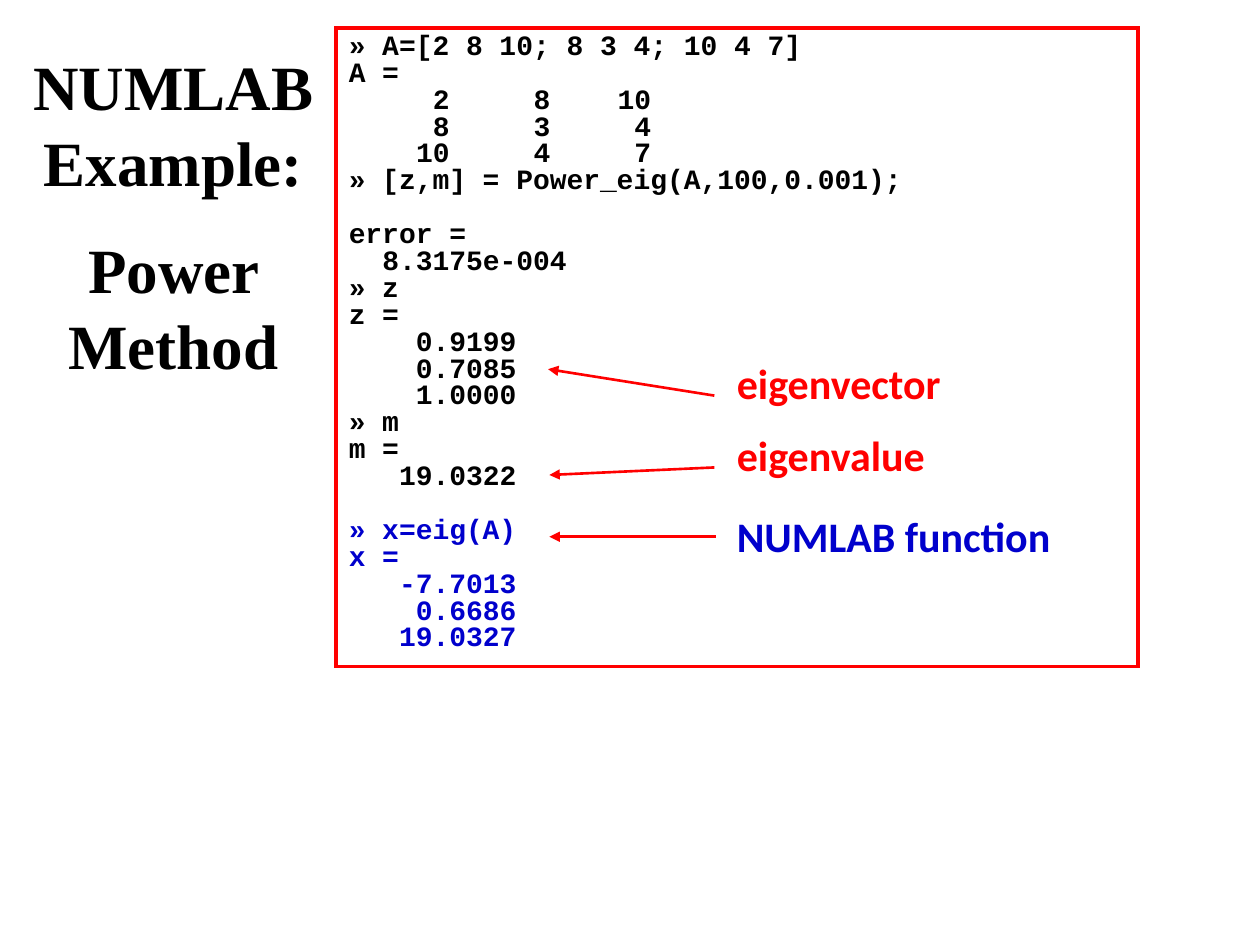
from lxml import etree
from pptx import Presentation
from pptx.dml.color import RGBColor
from pptx.enum.shapes import MSO_CONNECTOR, MSO_SHAPE
from pptx.enum.text import MSO_ANCHOR, PP_ALIGN
from pptx.oxml.ns import qn
from pptx.util import Inches, Pt

RECTANGLE = MSO_SHAPE.RECTANGLE
STRAIGHT = MSO_CONNECTOR.STRAIGHT
TOP = MSO_ANCHOR.TOP
LEFT, CENTER = PP_ALIGN.LEFT, PP_ALIGN.CENTER

BLACK = RGBColor(0x00, 0x00, 0x00)
WHITE = RGBColor(0xFF, 0xFF, 0xFF)
RED = RGBColor(0xFF, 0x00, 0x00)
BLUE = RGBColor(0x00, 0x00, 0xCC)

CODE_FONT = {"name": "Courier New", "size": Pt(16), "bold": True}
TITLE_FONT = {"name": "Times New Roman", "size": Pt(36), "bold": True}
LABEL_FONT = {"name": "Calibri", "size": Pt(24), "bold": True}

CHARACTER = 0.6 * 16 / 72
MATRIX_COLUMNS = [6, 12, 18]
BLANK_LINE = Pt(15.4)

CONSOLE = [
    ("» A=[2 8 10; 8 3 4; 10 4 7]", 0, BLACK),
    ("A =", 0, BLACK),
    ("\t2\t8\t10", 0, BLACK),
    ("\t8\t3\t4", 0, BLACK),
    ("\t10\t4\t7", 0, BLACK),
    ("» [z,m] = Power_eig(A,100,0.001);", 0, BLACK),
    ("error =", 0, BLACK),
    ("8.3175e-004", 2, BLACK),
    ("» z", 0, BLACK),
    ("z =", 0, BLACK),
    ("0.9199", 4, BLACK),
    ("0.7085", 4, BLACK),
    ("1.0000", 4, BLACK),
    ("» m", 0, BLACK),
    ("m =", 0, BLACK),
    ("19.0322", 3, BLACK),
    ("» x=eig(A)", 0, BLUE),
    ("x =", 0, BLUE),
    ("-7.7013", 3, BLUE),
    ("0.6686", 4, BLUE),
    ("19.0327", 3, BLUE),
]
AFTER_BLANK_LINE = ("error =", "» x=eig(A)")

LABELS = [("eigenvector", RED, 1.0), ("eigenvalue", RED, 1.0), ("NUMLAB function", BLUE, 1.2)]
ARROWS = [
    ((5.67, 3.14), (4.35, 2.93)),
    ((5.67, 3.71), (4.36, 3.77)),
    ((5.68, 4.26), (4.36, 4.26)),
]


class SlideBuilder:
    def __init__(self, slide, accent):
        self.slide = slide
        self.accent = accent

    def paragraph(self, frame, text, font, color, layout):
        paragraph = frame.paragraphs[0]
        if paragraph.runs:
            paragraph = frame.add_paragraph()
        for name, value in layout.items():
            setattr(paragraph, name, value)
        run = paragraph.add_run()
        run.text = text
        for name, value in font.items():
            setattr(run.font, name, value)
        run.font.color.rgb = color
        return paragraph

    def indent(self, paragraph, characters):
        properties = paragraph._p.get_or_add_pPr()
        properties.set("marL", str(Inches(characters * CHARACTER)))
        properties.set("indent", "0")

    def right_tabs(self, paragraph, columns):
        tabs = etree.SubElement(paragraph._p.get_or_add_pPr(), qn("a:tabLst"))
        for column in columns:
            position = str(Inches(column * CHARACTER))
            etree.SubElement(tabs, qn("a:tab"), pos=position, algn="r")

    def text_box(self, left, top, width, height):
        shape = self.slide.shapes.add_textbox(
            Inches(left), Inches(top), Inches(width), Inches(height))
        shape.text_frame.word_wrap = True
        return shape.text_frame

    def panel(self, left, top, width, height):
        shape = self.slide.shapes.add_shape(
            RECTANGLE, Inches(left), Inches(top), Inches(width), Inches(height))
        shape.shadow.inherit = False
        shape.fill.solid()
        shape.fill.fore_color.rgb = WHITE
        shape.line.color.rgb = self.accent
        shape.line.width = Pt(2.25)
        etree.SubElement(shape.line._get_or_add_ln(), qn("a:miter"), lim="800000")
        shape.text_frame.word_wrap = True
        shape.text_frame.vertical_anchor = TOP
        return shape.text_frame

    def arrow(self, start, end):
        connector = self.slide.shapes.add_connector(
            STRAIGHT, *(Inches(value) for value in start + end))
        connector.line.color.rgb = self.accent
        connector.line.width = Pt(1.5)
        etree.SubElement(connector.line._get_or_add_ln(), qn("a:tailEnd"), type="triangle")
        etree.SubElement(connector._element.spPr, qn("a:effectLst"))


def main():
    presentation = Presentation()
    presentation.slide_width = Inches(10)
    presentation.slide_height = Inches(7.5)
    slide = presentation.slides.add_slide(presentation.slide_layouts[6])
    builder = SlideBuilder(slide, RED)

    console = builder.panel(2.67, 0.22, 6.36, 5.07)
    for text, indent, color in CONSOLE:
        gap = BLANK_LINE if text in AFTER_BLANK_LINE else Pt(0)
        layout = {"alignment": LEFT, "line_spacing": 0.8, "space_before": gap}
        paragraph = builder.paragraph(console, text, CODE_FONT, color, layout)
        if indent:
            builder.indent(paragraph, indent)
        if "\t" in text:
            builder.right_tabs(paragraph, MATRIX_COLUMNS)

    title = builder.text_box(0, 0.33, 2.75, 2.8)
    for text, gap in (("NUMLAB Example:", 0), ("Power Method", 18)):
        layout = {"alignment": CENTER, "line_spacing": 1.0, "space_before": Pt(gap)}
        builder.paragraph(title, text, TITLE_FONT, BLACK, layout)

    labels = builder.text_box(5.75, 2.79, 3.83, 1.78)
    for index, (text, color, spacing) in enumerate(LABELS):
        gap = Pt(12 if index else 0)
        layout = {"alignment": LEFT, "line_spacing": spacing, "space_before": gap}
        builder.paragraph(labels, text, LABEL_FONT, color, layout)

    for start, end in ARROWS:
        builder.arrow(start, end)

    presentation.save("out.pptx")


if __name__ == "__main__":
    main()
